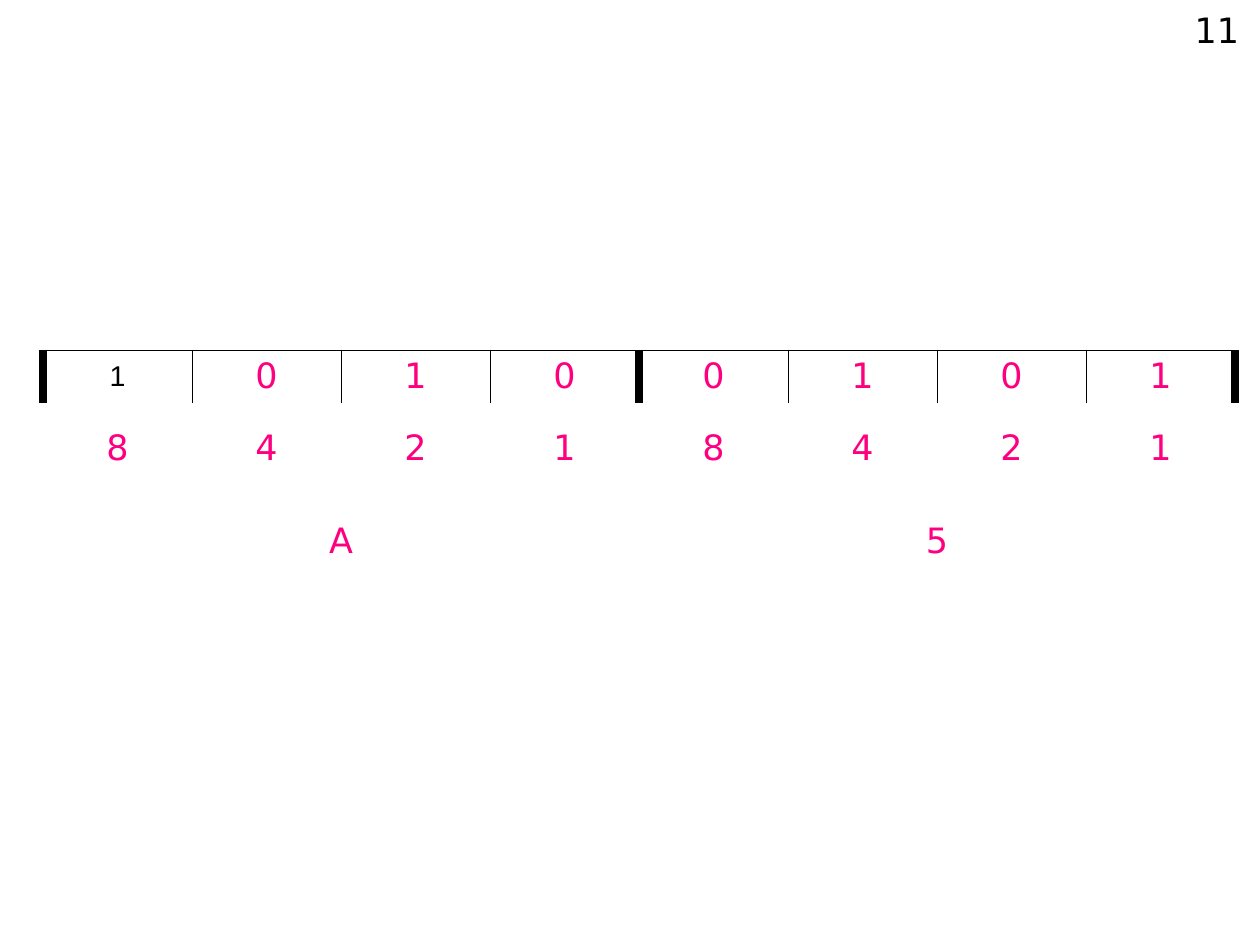
from dataclasses import dataclass

from lxml.etree import SubElement
from pptx import Presentation
from pptx.dml.color import RGBColor
from pptx.enum.text import MSO_ANCHOR, PP_ALIGN
from pptx.oxml.ns import qn
from pptx.util import Emu, Pt

BITS = "10100101"
WEIGHTS = "8421" * 2
HEX_DIGITS = "A5"
NIBBLE = 4
COL_WIDTH = 149
ROW_HEIGHTS = (51, 92, 94)
NO_GRID = "{2D5ABB26-0587-4C30-8999-92F81FD0307C}"


@dataclass(frozen=True)
class Theme:
    """Colours, fonts and sizes of the slide."""
    ink: str = "000000"
    accent: str = "FE007F"
    face: str = "DejaVu Sans"
    lead_face: str = "Arial"
    size: int = 22
    lead_size: int = 18
    thin: float = 0.57
    thick: float = 5.1


THEME = Theme()


def px(n):
    """Turn slide pixels into EMU."""
    return Emu(n * 8000)


def write(tf, text, color, align, face=THEME.face, size=THEME.size):
    """Put one formatted paragraph into a text frame."""
    p = tf.paragraphs[0]
    p.text = text
    p.alignment = align
    p.font.name = face
    p.font.size = Pt(size)
    p.font.color.rgb = RGBColor.from_string(color)


def set_borders(cell, left=0, right=0, top=0, bottom=0):
    """Draw the borders of a cell, where zero means no line."""
    tcPr = cell._tc.get_or_add_tcPr()
    for side, width in zip("LRTB", (left, right, top, bottom)):
        ln = SubElement(tcPr, qn(f"a:ln{side}"), w=str(Pt(width)))
        if width:
            fill = SubElement(ln, qn("a:solidFill"))
            SubElement(fill, qn("a:srgbClr"), val=THEME.ink)
        else:
            SubElement(ln, qn("a:noFill"))


def fill_cell(cell, text, **style):
    """Centre text in a table cell."""
    cell.vertical_anchor = MSO_ANCHOR.MIDDLE
    cell.margin_left = cell.margin_right = px(5)
    cell.margin_top = cell.margin_bottom = px(6)
    style = {"color": THEME.accent, **style}
    write(cell.text_frame, text, align=PP_ALIGN.CENTER, **style)


def edge_width(col):
    """Give the line width at the left edge of a bit column."""
    return THEME.thin if col % NIBBLE else THEME.thick


def add_bit_table(s, left, top):
    """Add the table of bits, weights and hexadecimal digits."""
    cols = len(BITS)
    frame = s.shapes.add_table(len(ROW_HEIGHTS), cols, px(left), px(top),
                               px(COL_WIDTH * cols), px(sum(ROW_HEIGHTS)))
    table = frame.table
    table.first_row = table.horz_banding = False
    table._tbl.tblPr.find(qn("a:tableStyleId")).text = NO_GRID
    for col in table.columns:
        col.width = px(COL_WIDTH)
    for row, height in zip(table.rows, ROW_HEIGHTS):
        row.height = px(height)

    for c, (bit, weight) in enumerate(zip(BITS, WEIGHTS)):
        set_borders(table.cell(0, c), edge_width(c), edge_width(c + 1), THEME.thin)
        for r in (1, 2):
            set_borders(table.cell(r, c))
        fill_cell(table.cell(0, c), bit)
        fill_cell(table.cell(1, c), weight)
    fill_cell(table.cell(0, 0), BITS[0], color=THEME.ink,
              face=THEME.lead_face, size=THEME.lead_size)

    for i, digit in enumerate(HEX_DIGITS):
        first = table.cell(2, i * NIBBLE)
        first.merge(table.cell(2, (i + 1) * NIBBLE - 1))
        fill_cell(first, digit)
    for cell in table.iter_cells():
        cell.fill.background()


def add_page_number(s, text, left, top, width, height):
    """Add the page number box."""
    tf = s.shapes.add_textbox(px(left), px(top), px(width), px(height)).text_frame
    tf.word_wrap = True
    tf.margin_left = tf.margin_right = tf.margin_top = tf.margin_bottom = 0
    write(tf, text, THEME.ink, PP_ALIGN.RIGHT)


def main():
    """Build and save the slide."""
    prs = Presentation()
    prs.slide_width, prs.slide_height = px(1260), px(945)
    s = prs.slides.add_slide(prs.slide_layouts[6])
    add_bit_table(s, 43, 350)
    add_page_number(s, "11", 945, 9, 294, 65)
    prs.save("out.pptx")


if __name__ == "__main__":
    main()
